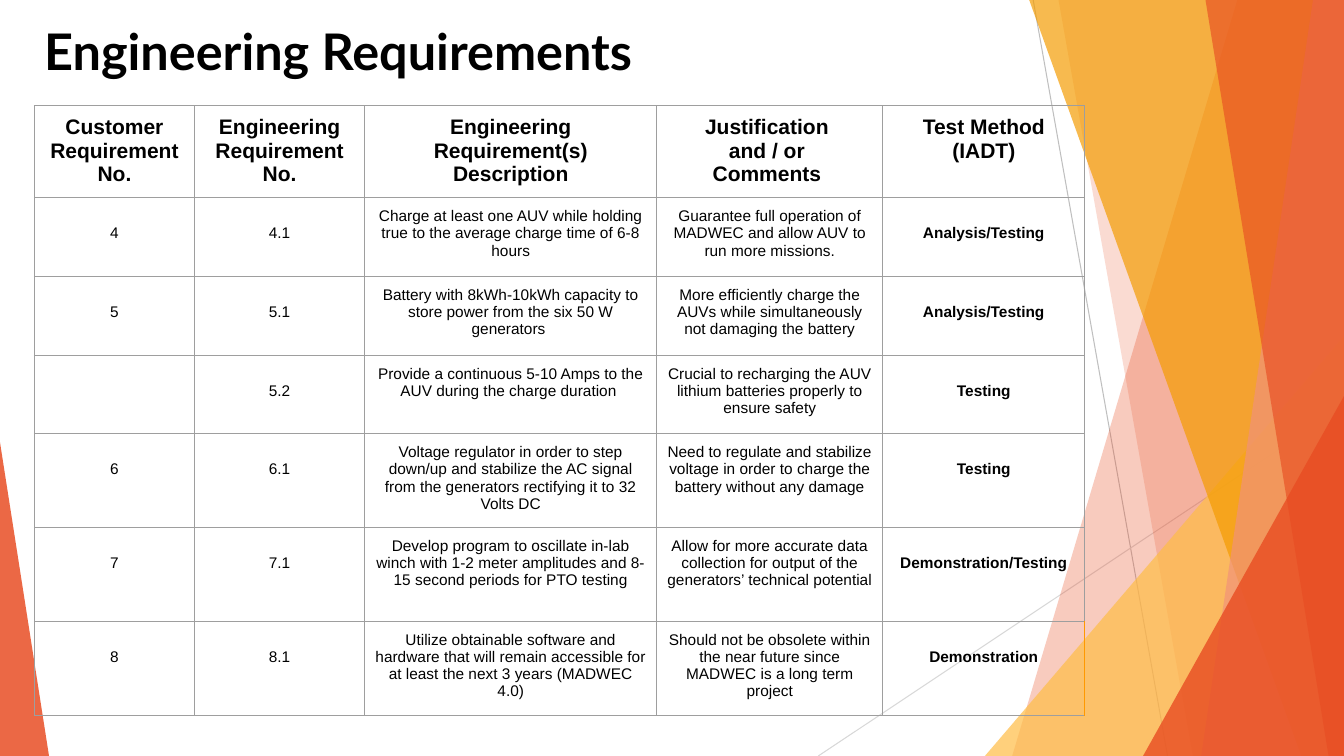
from lxml import etree
from pptx import Presentation
from pptx.dml.color import RGBColor
from pptx.enum.shapes import MSO_CONNECTOR, MSO_SHAPE
from pptx.enum.text import PP_ALIGN
from pptx.oxml.ns import qn
from pptx.util import Pt

STRAIGHT = MSO_CONNECTOR.STRAIGHT
TRIANGLE = MSO_SHAPE.ISOSCELES_TRIANGLE
CENTER = PP_ALIGN.CENTER

COLORS = {
    "text": "000000", "grid": "9E9E9E", "accent_edge": "FF9900",
    "dark_line": "BFBFBF", "light_line": "D8D8D8",
    "red": "E84C22", "amber": "FFBD47", "orange": "F49C00", "salmon": "F19279",
}
WIDTH, HEIGHT = 960, 540
COLUMN_WIDTHS = [114.5, 121.5, 208.7, 161.4, 144.4]
ROW_HEIGHTS = [65.8] + [56.2] * 3 + [67] * 3
INSET = 7.2
LINE_HEIGHT = 12.2

HEADINGS = [
    "Customer Requirement No.",
    "Engineering Requirement No.",
    "Engineering Requirement(s) Description",
    "Justification \nand / or \nComments ",
    "Test Method\n(IADT)",
]
REQUIREMENTS = [
    ("4", "4.1",
     "Charge at least one AUV while holding true to the average charge time of 6-8 hours",
     "Guarantee full operation of MADWEC and allow AUV to run more missions.",
     "Analysis/Testing"),
    ("5", "5.1",
     "Battery with 8kWh-10kWh capacity to store power from the six 50 W generators ",
     "More efficiently charge the AUVs while simultaneously not damaging the battery",
     "Analysis/Testing"),
    ("", "5.2",
     "Provide a continuous 5-10 Amps to the AUV during the charge duration ",
     "Crucial to recharging the AUV lithium batteries properly to ensure safety",
     "Testing"),
    ("6", "6.1",
     "Voltage regulator in order to step down/up and stabilize the AC signal "
     "from the generators rectifying it to 32 Volts DC",
     "Need to regulate and stabilize voltage in order to charge the battery without any damage",
     "Testing"),
    ("7", "7.1",
     "Develop program to oscillate in-lab winch with 1-2 meter amplitudes "
     "and 8-15 second periods for PTO testing",
     "Allow for more accurate data collection for output of the generators’ technical potential ",
     "Demonstration/Testing"),
    ("8", "8.1",
     "Utilize obtainable software and hardware that will remain accessible "
     "for at least the next 3 years (MADWEC 4.0)",
     "Should not be obsolete within the near future since MADWEC is a long term project",
     "Demonstration"),
]


def rgb(color):
    return RGBColor.from_string(COLORS[color])


def paint(shape, color, opacity):
    """Fill a borderless shape; opacity is in percent."""
    shape.shadow.inherit = False
    shape.line.fill.background()
    shape.fill.solid()
    shape.fill.fore_color.rgb = rgb(color)
    tint = shape._element.spPr.find(qn("a:solidFill")).find(qn("a:srgbClr"))
    etree.SubElement(tint, qn("a:alpha"), val=str(opacity * 1000))


def add_thin_line(slide, start, end, color):
    line = slide.shapes.add_connector(STRAIGHT, *(Pt(v) for v in start + end))
    line.line.color.rgb = rgb(color)
    line.line.width = Pt(0.75)
    etree.SubElement(line._element.spPr, qn("a:effectLst"))


def add_band(slide, top_left, bottom_left, color, opacity):
    """Full-height band running from a slanted left edge to the slide's right edge."""
    builder = slide.shapes.build_freeform(Pt(top_left), Pt(-0.5))
    corners = [(WIDTH, -0.5), (WIDTH, HEIGHT), (bottom_left, HEIGHT)]
    builder.add_line_segments([(Pt(x), Pt(y)) for x, y in corners], close=True)
    paint(builder.convert_to_shape(), color, opacity)


def add_corner(slide, left, top, width, apex, color, opacity):
    """Right-angled triangle standing on the slide's bottom edge."""
    corner = slide.shapes.add_shape(TRIANGLE, Pt(left), Pt(top), Pt(width), Pt(HEIGHT - top))
    corner.adjustments[0] = apex
    paint(corner, color, opacity)


def add_backdrop(slide):
    add_thin_line(slide, (738, 0), (834, HEIGHT), "dark_line")
    add_thin_line(slide, (WIDTH, 290), (584.5, HEIGHT), "light_line")
    add_band(slide, 884, 723, "red", 29)
    add_band(slide, 756, 852, "red", 20)
    add_corner(slide, 703.5, 240, WIDTH - 703.5, 1, "amber", 71)
    add_band(slide, 735, 929.5, "orange", 69)
    add_band(slide, 938, 858, "salmon", 69)
    add_band(slide, 861, 949, "red", 64)
    add_corner(slide, 816.5, 283, WIDTH - 816.5, 1, "red", 80)
    add_corner(slide, 0, 316, 35, 0, "red", 84)


def format_run(run, font, size, bold):
    run.font.name = font
    run.font.size = Pt(size)
    run.font.bold = bold
    run.font.color.rgb = rgb("text")


def add_title(slide, left, top, width, height):
    title = slide.shapes.add_textbox(Pt(left), Pt(top), Pt(width), Pt(height))
    frame = title.text_frame
    frame.word_wrap = True
    frame.margin_left = frame.margin_right = Pt(INSET)
    frame.margin_top = frame.margin_bottom = Pt(INSET)
    frame.text = "Engineering Requirements"
    format_run(frame.paragraphs[0].runs[0], "Lato", 36, True)


def add_borders(cell, right_color):
    sides = {"lnL": "grid", "lnR": right_color, "lnT": "grid", "lnB": "grid"}
    for side, color in sides.items():
        border = etree.SubElement(cell._tc.get_or_add_tcPr(), qn(f"a:{side}"), w=str(Pt(0.75)))
        fill = etree.SubElement(border, qn("a:solidFill"))
        etree.SubElement(fill, qn("a:srgbClr"), val=COLORS[color])


def fill_cell(cell, text, size, bold, lowered, right_color):
    """Write one cell; a lowered cell starts one line further down."""
    cell.margin_left = cell.margin_right = cell.margin_bottom = Pt(INSET)
    cell.margin_top = Pt(INSET + LINE_HEIGHT * lowered)
    add_borders(cell, right_color)
    cell.fill.background()
    cell.text_frame.text = text
    for paragraph in cell.text_frame.paragraphs:
        paragraph.alignment = CENTER
        for run in paragraph.runs:
            format_run(run, "Arial", size, bold)


def add_requirements_table(slide, left, top):
    rows = [HEADINGS, *REQUIREMENTS]
    table = slide.shapes.add_table(
        len(rows), len(HEADINGS), Pt(left), Pt(top),
        Pt(sum(COLUMN_WIDTHS)), Pt(sum(ROW_HEIGHTS))).table
    table.first_row = table.horz_banding = False
    for column, width in zip(table.columns, COLUMN_WIDTHS):
        column.width = Pt(width)
    for row, height in zip(table.rows, ROW_HEIGHTS):
        row.height = Pt(height)
    last_row, method = len(rows) - 1, len(HEADINGS) - 1
    for r, texts in enumerate(rows):
        for c, text in enumerate(texts):
            heading = r == 0
            fill_cell(
                table.cell(r, c), text,
                size=15 if heading else 11,
                bold=heading or c == method,
                lowered=not heading and c in (0, 1, method),
                right_color="accent_edge" if (r, c) == (last_row, method) else "grid")


def main():
    deck = Presentation()
    deck.slide_width, deck.slide_height = Pt(WIDTH), Pt(HEIGHT)
    slide = deck.slides.add_slide(deck.slide_layouts[6])
    add_backdrop(slide)
    add_requirements_table(slide, 24.5, 75.5)
    add_title(slide, 24.5, 7.2, 718, 58)
    deck.save("out.pptx")


if __name__ == "__main__":
    main()
